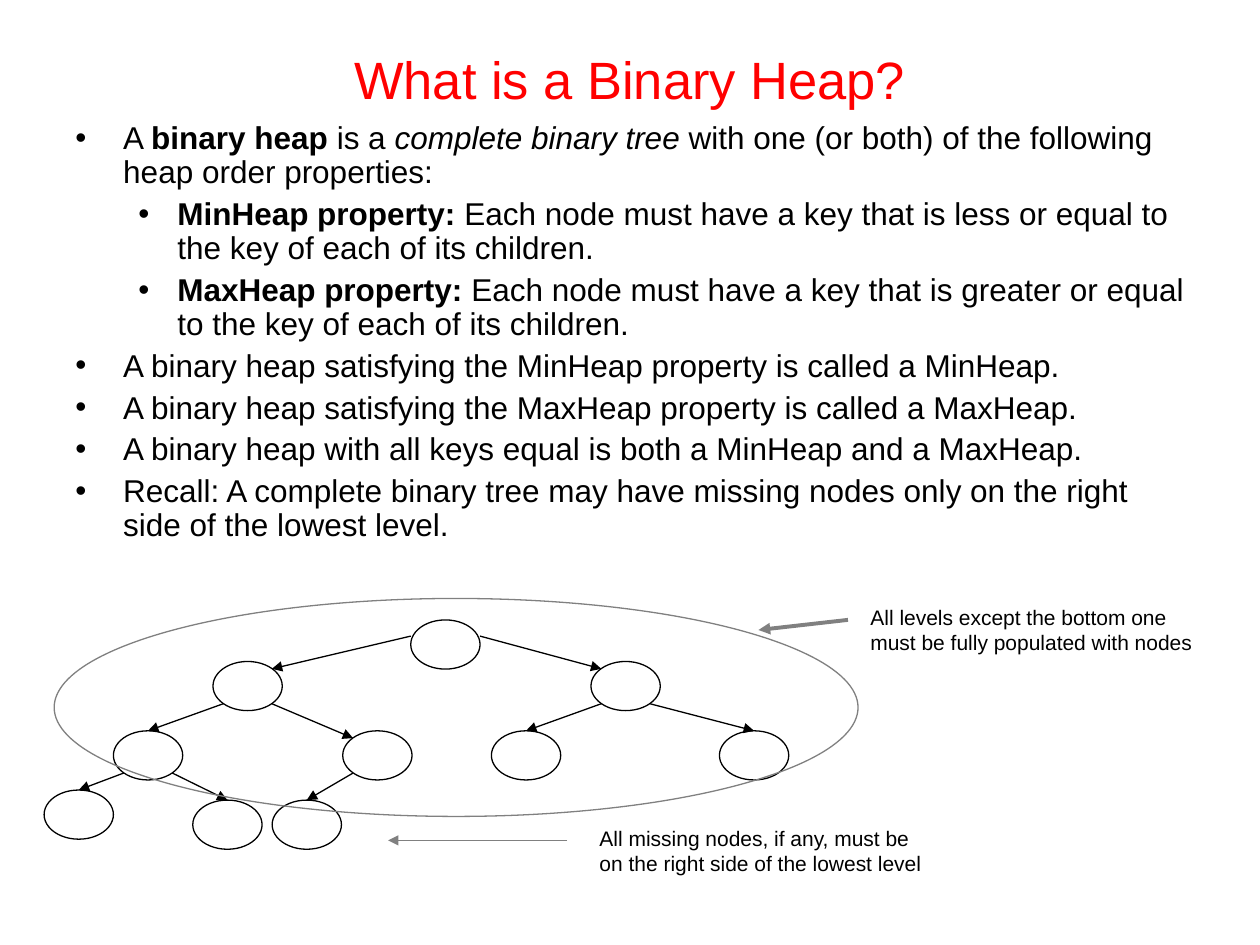
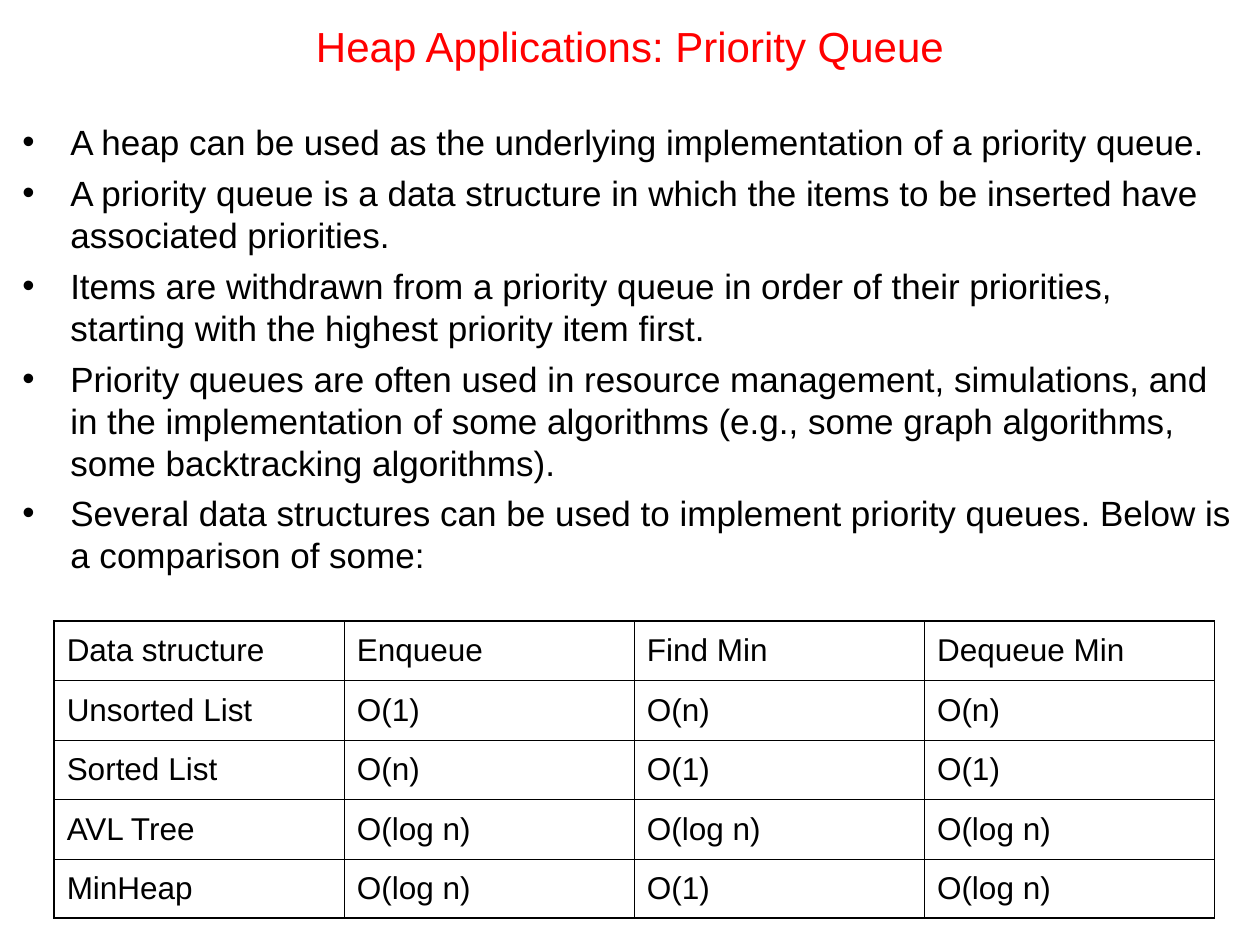
from pptx import Presentation, util as u
from pptx.dml.color import RGBColor
from pptx.enum import shapes, text
from pptx.oxml import ns
from lxml import etree

# Shared look
WIDTH, HEIGHT = 10, 7.5
FONT, BLACK, RED, GREY = "Arial", "000000", "FF0000", "808080"
THIN, THICK = 0.75, 2.25
INDENTS = [(0.38, 0.38), (0.81, 0.31)]  # left margin and hanging indent by level

# Slide 1: each paragraph is a level and its runs of (text, style)
HEAP_TITLE = "What is a Binary Heap?"
HEAP_POINTS = [
    (0, [("A ", ""), ("binary heap", "bold"), (" is a ", ""),
         ("complete binary tree", "italic"),
         (" with one (or both) of the following heap order properties:", "")]),
    (1, [("MinHeap property:", "bold"),
         (" Each node must have a key that is less or equal to the key of each of its children.", "")]),
    (1, [("MaxHeap property:", "bold"),
         (" Each node must have a key that is greater or equal to the key of each of its children.", "")]),
    (0, [("A binary heap satisfying the MinHeap property is called a MinHeap.", "")]),
    (0, [("A binary heap satisfying the MaxHeap property is called a MaxHeap.", "")]),
    (0, [("A binary heap with all keys equal is both a MinHeap and a MaxHeap.", "")]),
    (0, [("Recall: A complete binary tree may have missing nodes only on the right "
          "side of the lowest level.", "")]),
]

# Tree nodes in heap order (top left corners), numbered from 1
NODE_WIDTH, NODE_HEIGHT = 0.55, 0.39
NODES = [(3.26, 4.92), (1.69, 5.25), (4.69, 5.25), (0.9, 5.8), (2.72, 5.8),
         (3.9, 5.8), (5.71, 5.8), (0.35, 6.27), (1.53, 6.35), (2.16, 6.35)]
# Places on a node, as shares of its width and height
TOP, UPPER_LEFT, UPPER_RIGHT = (0.5, 0), (0.15, 0.15), (0.85, 0.15)
LOWER_LEFT, LOWER_RIGHT = (0.15, 0.86), (0.85, 0.86)
ROOT_LEFT, ROOT_RIGHT = (0, 0.33), (1, 0.33)
ARRIVALS = {2: UPPER_RIGHT, 3: UPPER_LEFT, 5: UPPER_LEFT}  # all others arrive at the top

FULL_LEVELS = (0.43, 4.75, 6.38, 1.73)
CALLOUTS = [  # text, corner, arrow start, arrow end, arrow weight
    ("All levels except the bottom one must be fully populated with nodes",
     (6.81, 4.75), (6.73, 4.92), (6.02, 5), THICK),
    ("All missing nodes, if any, must be on the right side of the lowest level",
     (4.66, 6.5), (4.5, 6.67), (3.08, 6.67), THIN),
]

# Slide 2
QUEUE_TITLE = "Heap Applications: Priority Queue"
QUEUE_POINTS = [(0, [(line, "")]) for line in (
    "A heap can be used as the underlying implementation of a priority queue.",
    "A priority queue is a data structure in which the items to be inserted have associated priorities.",
    "Items are withdrawn from a priority queue in order of their priorities, "
    "starting with the highest priority item first.",
    "Priority queues are often used in resource management, simulations, and in the "
    "implementation of some algorithms (e.g., some graph algorithms, some backtracking algorithms).",
    "Several data structures can be used to implement priority queues. "
    "Below is a comparison of some:",
)]
COSTS = [
    ("Data structure", "Enqueue", "Find Min", "Dequeue Min"),
    ("Unsorted List", "O(1)", "O(n)", "O(n)"),
    ("Sorted List", "O(n)", "O(1)", "O(1)"),
    ("AVL Tree", "O(log n)", "O(log n)", "O(log n)"),
    ("MinHeap", "O(log n)", "O(1)", "O(log n)"),
]
TABLE_BOX = (0.43, 4.93, 9.21, 2.36)
OUTER, INNER = 1.08, 0.45


def inches(values):
    return [u.Inches(value) for value in values]


def color(value):
    return RGBColor.from_string(value)


def add_xml(parent, tag, **attributes):
    return etree.SubElement(parent, ns.qn(tag), attributes)


# Text
def add_run(paragraph, words, size, shade=BLACK, style=""):
    run = paragraph.add_run()
    run.text = words
    font = run.font
    font.name, font.size, font.color.rgb = FONT, u.Pt(size), color(shade)
    font.bold, font.italic = style == "bold", style == "italic"


def add_text_frame(slide, box):
    frame = slide.shapes.add_textbox(*inches(box)).text_frame
    frame.word_wrap = True
    return frame


def add_title(slide, words, box, size):
    frame = add_text_frame(slide, box)
    frame.vertical_anchor = text.MSO_ANCHOR.MIDDLE
    paragraph = frame.paragraphs[0]
    paragraph.alignment = text.PP_ALIGN.CENTER
    add_run(paragraph, words, size, RED)


def add_bullets(slide, points, box, size, spacing, gap):
    frame = add_text_frame(slide, box)
    for index, (level, runs) in enumerate(points):
        paragraph = frame.add_paragraph() if index else frame.paragraphs[0]
        paragraph.level = level
        paragraph.line_spacing, paragraph.space_before = spacing, u.Pt(gap)
        margin, hanging = INDENTS[level]
        properties = paragraph._p.get_or_add_pPr()
        properties.set("marL", str(u.Inches(margin)))
        properties.set("indent", str(-u.Inches(hanging)))
        add_xml(add_xml(properties, "a:buClr"), "a:srgbClr", val=BLACK)
        add_xml(properties, "a:buFont", typeface=FONT)
        add_xml(properties, "a:buChar", char="•")
        for words, style in runs:
            add_run(paragraph, words, size, style=style)


# Drawing
def add_ellipse(parent, box, shade):
    shape = parent.shapes.add_shape(shapes.MSO_SHAPE.OVAL, *inches(box))
    shape.shadow.inherit = False
    shape.fill.background()
    shape.line.color.rgb, shape.line.width = color(shade), u.Pt(THIN)


def add_arrow(parent, start, end, shade, weight):
    arrow = parent.shapes.add_connector(shapes.MSO_CONNECTOR.STRAIGHT, *inches(start + end))
    arrow.line.color.rgb, arrow.line.width = color(shade), u.Pt(weight)
    add_xml(arrow.line._get_or_add_ln(), "a:tailEnd", type="triangle")
    add_xml(arrow._element.spPr, "a:effectLst")


def node_point(number, place):
    left, top = NODES[number - 1]
    return left + place[0] * NODE_WIDTH, top + place[1] * NODE_HEIGHT


def add_tree(slide):
    tree = slide.shapes.add_group_shape()
    for corner in NODES:
        add_ellipse(tree, corner + (NODE_WIDTH, NODE_HEIGHT), BLACK)
    for child in range(2, len(NODES) + 1):
        parent, is_right = divmod(child, 2)
        sides = (ROOT_LEFT, ROOT_RIGHT) if parent == 1 else (LOWER_LEFT, LOWER_RIGHT)
        add_arrow(tree, node_point(parent, sides[is_right]),
                  node_point(child, ARRIVALS.get(child, TOP)), BLACK, THIN)


# Table
def set_borders(cell, weights):
    properties = cell._tc.get_or_add_tcPr()
    for index, (side, weight) in enumerate(weights.items()):
        line = etree.Element(ns.qn("a:ln" + side), w=str(u.Pt(weight)))
        add_xml(add_xml(line, "a:solidFill"), "a:srgbClr", val=BLACK)
        properties.insert(index, line)  # borders come before the fill


def add_cost_table(slide):
    rows, columns = len(COSTS), len(COSTS[0])
    table = slide.shapes.add_table(rows, columns, *inches(TABLE_BOX)).table
    table.first_row = table.horz_banding = False
    for row, values in enumerate(COSTS):
        for column, value in enumerate(values):
            cell = table.cell(row, column)
            cell.fill.background()
            cell.vertical_anchor = text.MSO_ANCHOR.MIDDLE
            paragraph = cell.text_frame.paragraphs[0]
            paragraph.space_before = u.Pt(4.5)
            add_run(paragraph, value, 18)
            on_edge = {"L": column == 0, "R": column == columns - 1,
                       "T": row == 0, "B": row == rows - 1}
            set_borders(cell, {side: OUTER if edge else INNER for side, edge in on_edge.items()})


def build_heap_slide(slide):
    add_title(slide, HEAP_TITLE, (0.5, 0.33, 9, 0.58), 30)
    add_bullets(slide, HEAP_POINTS, (0.5, 0.92, 9, 3.46), 18, 0.9, 4.5)
    add_tree(slide)
    add_ellipse(slide, FULL_LEVELS, GREY)
    for words, corner, start, end, weight in CALLOUTS:
        paragraph = add_text_frame(slide, corner + (2.76, 0.5)).paragraphs[0]
        paragraph.space_before = u.Pt(7.5)
        add_run(paragraph, words, 12)
        add_arrow(slide, start, end, GREY, weight)


def build_queue_slide(slide):
    add_title(slide, QUEUE_TITLE, (0.5, 0.05, 9, 0.63), 24)
    add_bullets(slide, QUEUE_POINTS, (0.08, 0.91, 9.8, 3.7), 20, 1.0, 5)
    add_cost_table(slide)


def main():
    presentation = Presentation()
    presentation.slide_width, presentation.slide_height = inches((WIDTH, HEIGHT))
    for build in (build_heap_slide, build_queue_slide):
        build(presentation.slides.add_slide(presentation.slide_layouts[6]))
    presentation.save("out.pptx")


if __name__ == "__main__":
    main()
